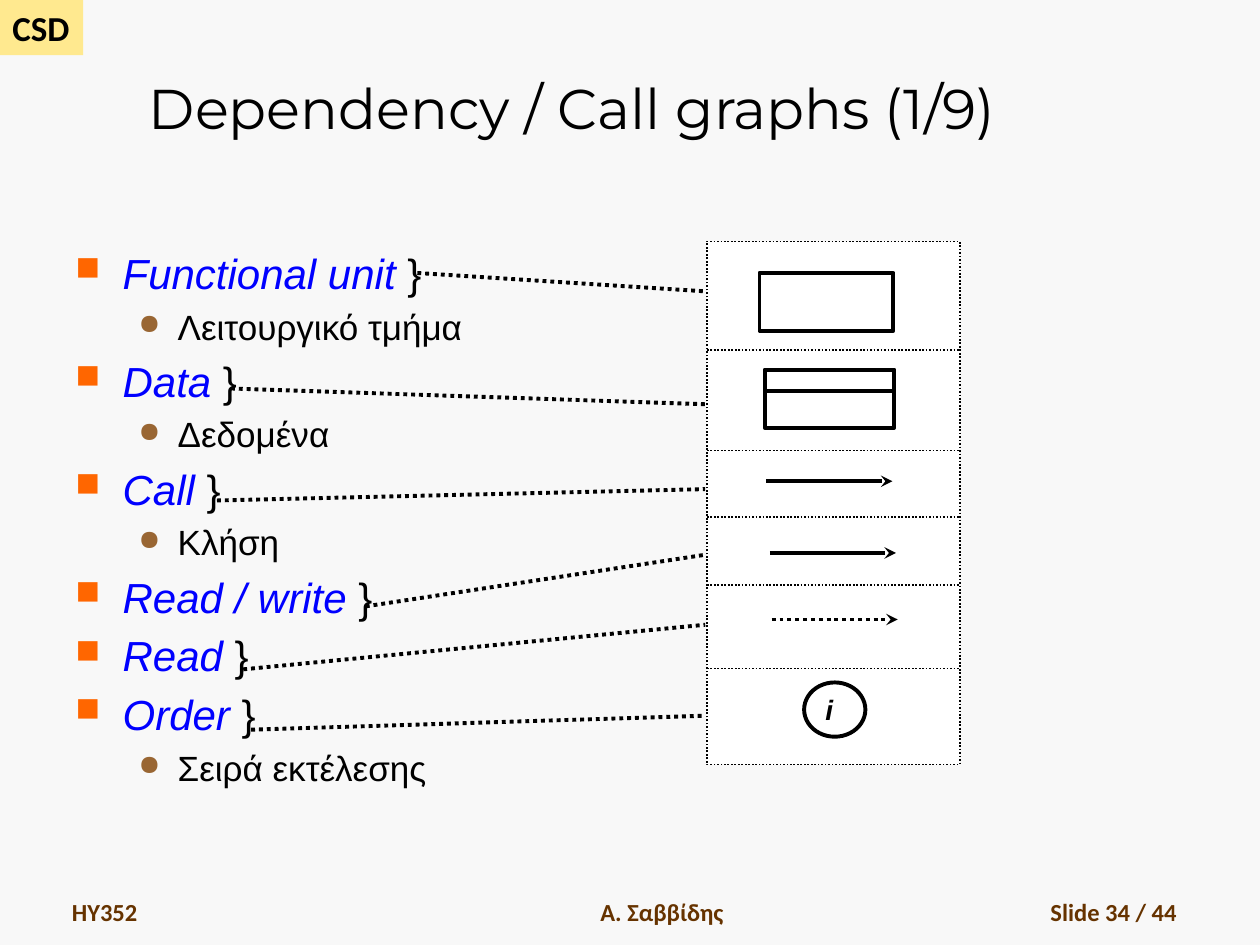
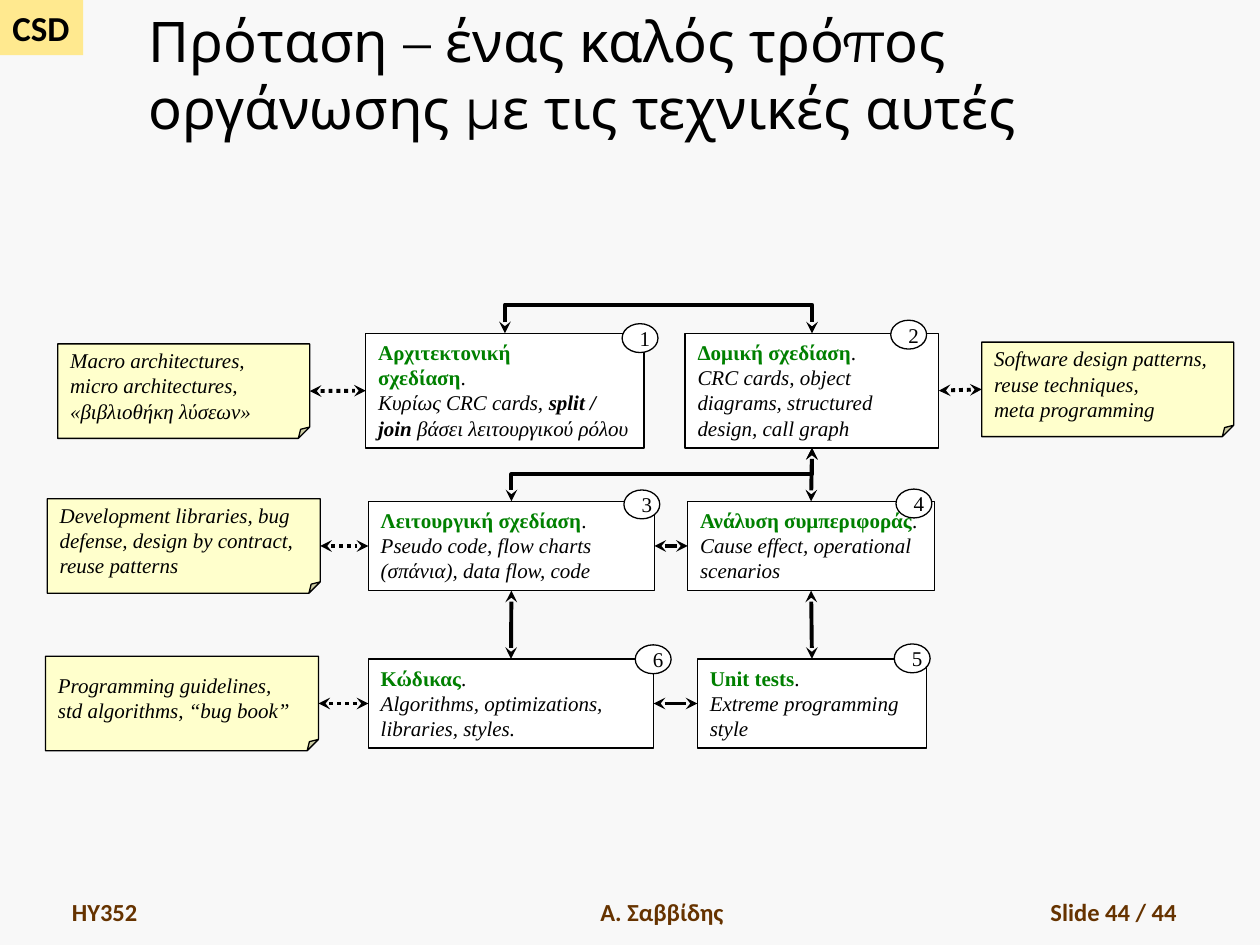
from dataclasses import dataclass
from lxml import etree
from pptx import Presentation
from pptx.dml.color import RGBColor
from pptx.enum.dml import MSO_LINE
from pptx.enum.shapes import MSO_CONNECTOR, MSO_SHAPE
from pptx.enum.text import MSO_ANCHOR, PP_ALIGN
from pptx.oxml.ns import qn
from pptx.util import Pt


@dataclass(frozen=True)
class Theme:
    back = RGBColor(0xF8, 0xF8, 0xF8)
    band = RGBColor(0xFF, 0xE9, 0x8F)
    ink = RGBColor(0, 0, 0)
    paper = RGBColor(0xFF, 0xFF, 0xFF)
    note = RGBColor(0xFF, 0xFF, 0xCC)
    brown = RGBColor(0x66, 0x33, 0x00)
    blue = RGBColor(0, 0, 0xFF)
    green = RGBColor(0, 0x80, 0)
    bullets = (("■", "FF6600", 27, 27), ("●", "996633", 58.5, 22.5))
    thin, fine, thick = 0.75, 1, 2.25


T = Theme()
TITLE = dict(name="Montserrat", size=Pt(32), color=T.ink)
TAG = dict(name="Calibri", size=Pt(20), color=T.ink, bold=True)
FOOTER = dict(name="Calibri", size=Pt(14), color=T.brown, bold=True)
TERM = dict(name="Arial", size=Pt(24), color=T.blue, italic=True)
BRACE = dict(TERM, color=T.ink, italic=False)
GLOSS = dict(BRACE, size=Pt(20))
ORDER = dict(name="Arial", size=Pt(16), color=T.ink, bold=True, italic=True)
SMALL = dict(name="Times New Roman", size=Pt(12), color=T.ink)
HEAD = dict(SMALL, color=T.green, bold=True)
DETAIL = dict(SMALL, italic=True)
STRONG = dict(DETAIL, bold=True)

TOP, LEFT, BOTTOM, RIGHT = range(4)


# ---- Shared helpers ----
def write(sp, paras, wrap=True, anchor=MSO_ANCHOR.TOP, align=PP_ALIGN.LEFT):
    """Fill a shape with paragraphs, each a list of (text, format) runs."""
    tf = sp.text_frame
    tf.word_wrap = wrap
    tf.vertical_anchor = anchor
    for i, runs in enumerate(paras):
        p = tf.add_paragraph() if i else tf.paragraphs[0]
        p.alignment = align
        for text, fmt in runs:
            r = p.add_run()
            r.text = text
            for key, value in fmt.items():
                if key == "color":
                    r.font.color.rgb = value
                else:
                    setattr(r.font, key, value)
    return sp


def add_text(s, box, paras, **kw):
    return write(s.shapes.add_textbox(*map(Pt, box)), paras, **kw)


def style_line(line, width, dotted=False):
    line.color.rgb = T.ink
    line.width = Pt(width)
    if dotted:
        line.dash_style = MSO_LINE.ROUND_DOT


def add_box(s, box, kind=MSO_SHAPE.RECTANGLE, fill=T.paper, width=T.thin, dotted=False):
    sp = s.shapes.add_shape(kind, *map(Pt, box))
    sp.shadow.inherit = False
    sp.fill.solid()
    sp.fill.fore_color.rgb = fill
    if width:
        style_line(sp.line, width, dotted)
    else:
        sp.line.fill.background()
    return sp


def add_line(s, start, end, width=T.thick, dotted=False, heads=(), kind=MSO_CONNECTOR.STRAIGHT):
    c = s.shapes.add_connector(kind, *map(Pt, (*start, *end)))
    style_line(c.line, width, dotted)
    spPr = c.element.spPr
    for head in heads:
        etree.SubElement(spPr.find(qn("a:ln")), qn("a:" + head), type="stealth")
    etree.SubElement(spPr, qn("a:effectLst"))
    return c


def set_guide(sp, name, value):
    """Set one adjustment of a preset outline, in 1/100000."""
    geom = sp.element.spPr.find(qn("a:prstGeom"))
    guides = geom.find(qn("a:avLst"))
    if guides is None:
        guides = etree.SubElement(geom, qn("a:avLst"))
    etree.SubElement(guides, qn("a:gd"), name=name, fmla=f"val {round(value)}")


def set_bullet(p, level):
    char, color, margin, hang = T.bullets[level]
    p.level = level
    pPr = p._p.get_or_add_pPr()
    pPr.set("marL", str(Pt(margin)))
    pPr.set("indent", str(-Pt(hang)))
    space = etree.SubElement(pPr, qn("a:spcBef"))
    etree.SubElement(space, qn("a:spcPct"), val="20000")
    clr = etree.SubElement(pPr, qn("a:buClr"))
    etree.SubElement(clr, qn("a:srgbClr"), val=color)
    etree.SubElement(pPr, qn("a:buSzPct"), val="80000")
    etree.SubElement(pPr, qn("a:buChar"), char=char)


# ---- Frame shared by the slides: tag, footers, title ----
def new_slide(prs, title, number):
    s = prs.slides.add_slide(prs.slide_layouts[6])
    s.background.fill.solid()
    s.background.fill.fore_color.rgb = T.back
    write(add_box(s, (0, 0, 47.5, 31.5), fill=T.band, width=0), [[("CSD", TAG)]], wrap=False)
    footers = ((34, 157.5, "HY352", PP_ALIGN.LEFT),
               (264, 228.5, "Α. Σαββίδης", PP_ALIGN.CENTER),
               (530, 149.5, f"Slide {number} / 44", PP_ALIGN.RIGHT))
    for x, w, text, align in footers:
        add_text(s, (x, 497, w, 36), [[(text, FOOTER)]], anchor=MSO_ANCHOR.BOTTOM, align=align)
    add_text(s, (78, 12, 642, 72), [[(title, TITLE)]], anchor=MSO_ANCHOR.BOTTOM)
    return s


# ---- Slide 34: terms and their symbols ----
def add_terms(s, box, terms):
    paras, levels = [], []
    for term, gloss in terms:
        paras.append([(term, TERM), (" }", BRACE)])
        levels.append(0)
        if gloss:
            paras.append([(gloss, GLOSS)])
            levels.append(1)
    sp = add_text(s, box, paras)
    for p, level in zip(sp.text_frame.paragraphs, levels):
        set_bullet(p, level)


def add_legend(s, box):
    x, y, w, h = box
    add_box(s, box, width=T.fine, dotted=True)
    # Unit and data symbols
    add_box(s, (x + 30, y + 18, 76.5, 33), width=T.thick)
    for height in (33, 12):
        add_box(s, (x + 33, y + 73.5, 74, height), width=T.thick)
    # Call, read / write and read arrows
    for dx, dy, dotted in ((34, 137, False), (36, 178, False), (37, 216, True)):
        add_line(s, (x + dx, y + dy), (x + dx + 72, y + dy), dotted=dotted, heads=("tailEnd",))
    # Row dividers
    for dy in (62, 119.5, 157.5, 196.5, 244):
        add_line(s, (x, y + dy), (x + w, y + dy), width=T.fine, dotted=True)
    # Order symbol
    order = add_box(s, (x + 55.5, y + 252, 35, 31), MSO_SHAPE.OVAL, width=T.thick)
    write(order, [[("i", ORDER)]], wrap=False, anchor=MSO_ANCHOR.MIDDLE)


def call_graph_slide(prs):
    s = new_slide(prs, "Dependency / Call graphs (1/9)", 34)
    add_terms(s, (36, 138, 271, 348), (
        ("Functional unit", "Λειτουργικό τμήμα"), ("Data", "Δεδομένα"), ("Call", "Κλήση"),
        ("Read / write", None), ("Read", None), ("Order", "Σειρά εκτέλεσης")))
    legend = (404, 138, 144.5, 299)
    # Leaders from each term to its row of the legend
    for x, y, row_y in ((238.5, 156, 166.5), (132, 222, 231), (124, 286, 279.5),
                        (209, 346.5, 317), (139, 382.5, 357), (143.5, 417, 409)):
        add_line(s, (x, y), (legend[0] - 1, row_y), dotted=True)
    add_legend(s, legend)


# ---- Slide 44: design steps, notes and links ----
def add_step(s, box, paras):
    return write(add_box(s, box), paras)


def add_note(s, box, lines):
    sp = add_box(s, box, MSO_SHAPE.FOLDED_CORNER, T.note)
    set_guide(sp, "adj", 12000)
    return write(sp, [[(text, DETAIL)] for text in lines], anchor=MSO_ANCHOR.MIDDLE)


def add_badge(s, x, y, number):
    sp = add_box(s, (x, y, 20.5, 16.5), MSO_SHAPE.OVAL)
    write(sp, [[(str(number), SMALL)]], wrap=False, anchor=MSO_ANCHOR.MIDDLE)


def link(s, a, a_side, b, b_side, dotted=False, kind=MSO_CONNECTOR.STRAIGHT):
    c = add_line(s, (0, 0), (0, 0), dotted=dotted, heads=("headEnd", "tailEnd"), kind=kind)
    c.begin_connect(a, a_side)
    c.end_connect(b, b_side)
    return c


def link_bent(s, a, a_side, b, b_side, drop):
    """Elbow whose crossbar lies `drop` points below its start."""
    c = link(s, a, a_side, b, b_side, kind=MSO_CONNECTOR.ELBOW)
    x1, y1, x2, y2 = c.begin_x, c.begin_y, c.end_x, c.end_y
    w, h = max(abs(y2 - y1), Pt(0.125)), abs(x2 - x1)
    frame = dict(left=(x1 + x2 - w) // 2, top=(y1 + y2 - h) // 2, width=w, height=h)
    for key, value in frame.items():
        setattr(c, key, value)
    turn = dict(rot="5400000", flipH="0", flipV=str(int(x2 > x1)))
    for key, value in turn.items():
        c.element.spPr.find(qn("a:xfrm")).set(key, value)
    set_guide(c, "adj1", Pt(drop) / w * 100000)


def organisation_slide(prs):
    s = new_slide(prs, "Πρόταση – ένας καλός τρόπος οργάνωσης με τις τεχνικές αυτές", 44)

    def step(box, head, detail):
        return add_step(s, box, [[(head, HEAD), (".", SMALL)], [(detail, DETAIL)]])

    # Steps
    architecture = add_step(s, (209, 190.5, 159, 65.5), [
        [("Αρχιτεκτονική", HEAD)],
        [("σχεδίαση", HEAD), (".", SMALL)],
        [("Κυρίως CRC cards, ", DETAIL), ("split / join ", STRONG),
         ("βάσει λειτουργικού ρόλου", DETAIL)]])
    structure = step((391.5, 190.5, 145, 65.5), "Δομική σχεδίαση",
                     "CRC cards, object diagrams, structured design, call graph")
    function = step((210.5, 286.5, 163.5, 51), "Λειτουργική σχεδίαση",
                    "Pseudo code, flow charts (σπάνια), data flow, code")
    behaviour = step((393, 286.5, 141, 51), "Ανάλυση συμπεριφοράς",
                     "Cause effect, operational scenarios")
    code = step((210.5, 376.5, 163, 51), "Κώδικας",
                "Algorithms, optimizations, libraries, styles.")
    tests = step((398.5, 376.5, 131, 51), "Unit tests", "Extreme programming style")

    # Notes, each tied to its step
    notes = (
        ((33, 196.5, 144, 54), architecture, LEFT,
         ("Macro architectures,", "micro architectures,", "«βιβλιοθήκη λύσεων»")),
        ((561, 195.5, 144, 54), structure, RIGHT,
         ("Software design patterns,", "reuse techniques,", "meta programming")),
        ((27, 285, 156, 54), function, LEFT,
         ("Development libraries, bug", "defense, design by contract,", "reuse patterns")),
        ((26, 375, 156, 54), code, LEFT,
         ("Programming guidelines,", "std algorithms, “bug book”")))
    for box, target, side, lines in notes:
        note = add_note(s, box, lines)
        link(s, note, LEFT + RIGHT - side, target, side, dotted=True)

    # Links between steps
    link_bent(s, architecture, TOP, structure, TOP, -18)
    link_bent(s, structure, BOTTOM, function, TOP, 15)
    for upper, lower in ((structure, behaviour), (behaviour, tests), (function, code)):
        link(s, upper, BOTTOM, lower, TOP)
    for left, right in ((function, behaviour), (code, tests)):
        link(s, left, RIGHT, right, LEFT)

    # Step numbers
    badges = ((355.5, 185), (509, 183), (356.5, 280), (512, 279.5), (511, 368), (363, 368.5))
    for number, (x, y) in enumerate(badges, 1):
        add_badge(s, x, y, number)


def main():
    prs = Presentation()
    prs.slide_width, prs.slide_height = Pt(720), Pt(540)
    call_graph_slide(prs)
    organisation_slide(prs)
    prs.save("out.pptx")


if __name__ == "__main__":
    main()
